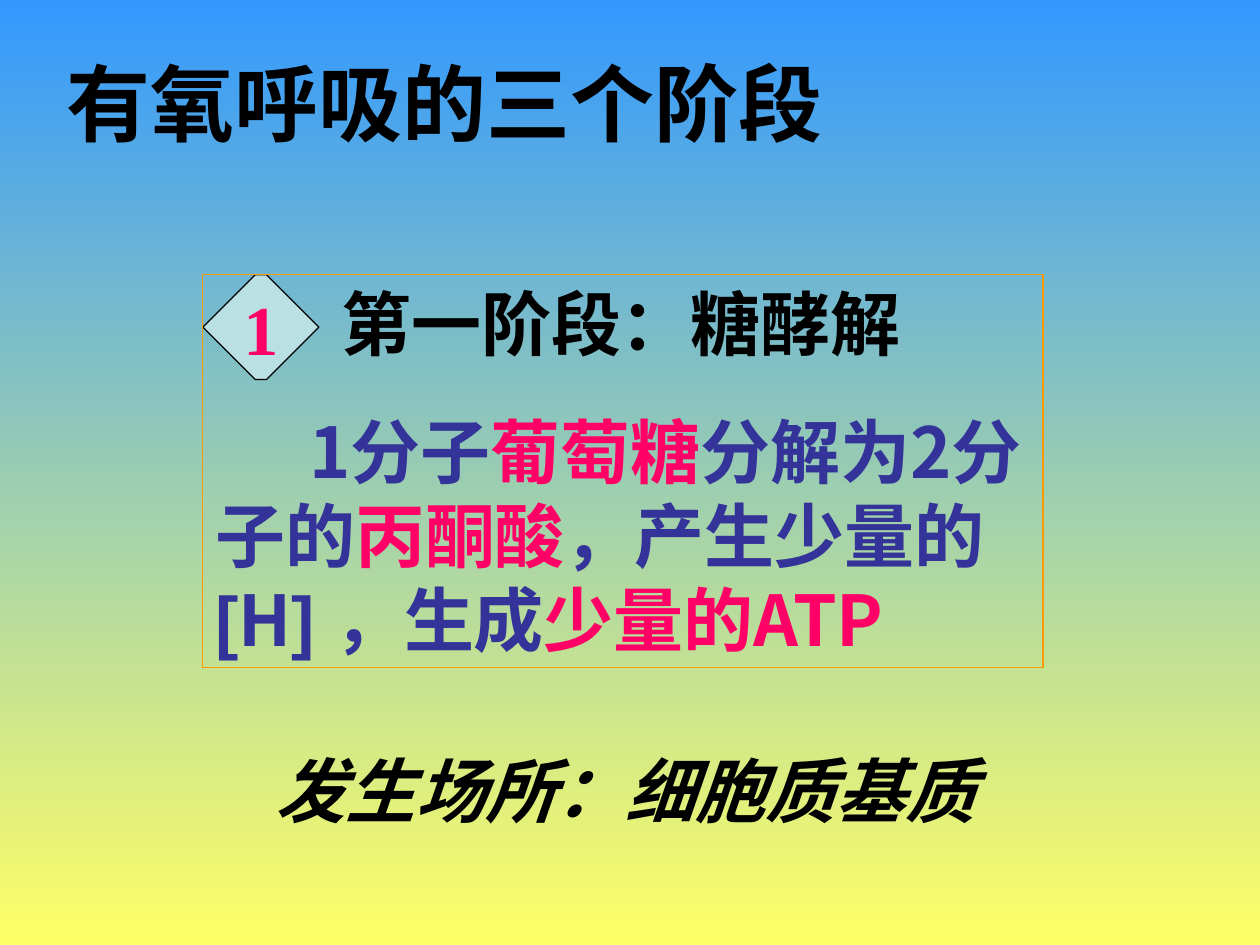
from pptx import Presentation
from pptx.dml.color import RGBColor
from pptx.enum.shapes import MSO_SHAPE
from pptx.enum.text import MSO_ANCHOR, MSO_AUTO_SIZE, PP_ALIGN
from pptx.oxml.ns import qn
from pptx.util import Cm, Pt
from lxml.etree import SubElement

SERIF, SANS = "Times New Roman", "Noto Sans CJK JP"
BLACK, BLUE, PINK = "000000", "333399", "FF0066"


def paint(color, value):
    """Set a colour from a hex string."""
    color.rgb = RGBColor.from_string(value)


def style(run, size, color, face, slant=False):
    """Format one run in bold."""
    font = run.font
    font.size, font.bold, font.italic, font.name = Pt(size), True, slant, face
    paint(font.color, color)
    SubElement(run._r.get_or_add_rPr(), qn("a:ea")).set("typeface", SANS)


def write(shape, text, size, color, align=PP_ALIGN.LEFT, slant=False):
    """Fill a shape with one line of text."""
    para = shape.text_frame.paragraphs[0]
    para.text, para.alignment = text, align
    style(para.runs[0], size, color, SERIF, slant)


def place(shape, left, top, width, height):
    """Move and size a shape in centimetres."""
    shape.left, shape.top = Cm(left), Cm(top)
    shape.width, shape.height = Cm(width), Cm(height)


def add_shape(slide, kind, box, line, fill=None):
    """Add a preset shape with a thin outline."""
    shape = slide.shapes.add_shape(kind, *map(Cm, box))
    shape.shadow.inherit = False
    if fill:
        shape.fill.solid()
        paint(shape.fill.fore_color, fill)
    else:
        shape.fill.background()
    paint(shape.line.color, line)
    shape.line.width = Pt(0.75)
    return shape


def add_runs(para, parts, indent):
    """Write coloured runs after a first-line indent."""
    para.alignment = PP_ALIGN.LEFT
    props = para._p.get_or_add_pPr()
    props.set("marL", "0")
    props.set("indent", str(Cm(indent)))
    for text, color, face in parts:
        run = para.add_run()
        run.text = text
        style(run, 40, color, face)


def add_stage(slide):
    """Add the framed stage with its number."""
    badge = add_shape(slide, MSO_SHAPE.OCTAGON, (4.09, 5.54, 2.34, 2.11), BLACK, "BBE0E3")
    badge.adjustments[0] = 0.5
    badge.text_frame.word_wrap = False
    write(badge, "1", 40, PINK, PP_ALIGN.CENTER)

    frame = add_shape(slide, MSO_SHAPE.RECTANGLE, (4.09, 5.54, 16.94, 7.92), "FF9900").text_frame
    frame.word_wrap, frame.vertical_anchor = True, MSO_ANCHOR.TOP
    add_runs(frame.paragraphs[0], [("第一阶段：糖酵解", BLACK, SANS)], 2.54)
    para = frame.add_paragraph()
    para.space_before = Pt(25)
    add_runs(para, [
        ("1分子", BLUE, SANS), ("葡萄糖", PINK, SANS),
        ("分解为2分子的", BLUE, SANS), ("丙酮酸", PINK, SANS),
        ("，产生少量的", BLUE, SANS), ("[", BLUE, "Arial"),
        ("H", BLUE, "Noto Sans CJK KR"), ("] ", BLUE, "Arial"),
        ("，生成", BLUE, SANS), ("少量的ATP", PINK, SANS),
    ], 1.9)


def main():
    """Build the slide and save it."""
    deck = Presentation()
    deck.slide_width, deck.slide_height = Cm(25.4), Cm(19.05)
    slide = deck.slides.add_slide(deck.slide_layouts[5])
    fill = slide.background.fill
    fill.gradient()
    fill.gradient_angle = 270
    for stop, color in zip(fill.gradient_stops, ("3399FF", "FFFF66")):
        paint(stop.color, color)

    title = slide.shapes.title
    place(title, 1.09, 0.91, 17.6, 2.29)
    title.text_frame.vertical_anchor = MSO_ANCHOR.TOP
    title.text_frame.auto_size = MSO_AUTO_SIZE.NONE
    write(title, "有氧呼吸的三个阶段", 48, BLACK)

    site = slide.shapes.add_textbox(0, 0, 0, 0)
    place(site, 5.31, 14.94, 15.24, 1.96)
    site.text_frame.word_wrap = True
    write(site, "发生场所：细胞质基质", 40, BLACK, slant=True)
    add_stage(slide)
    deck.save("out.pptx")


if __name__ == "__main__":
    main()
